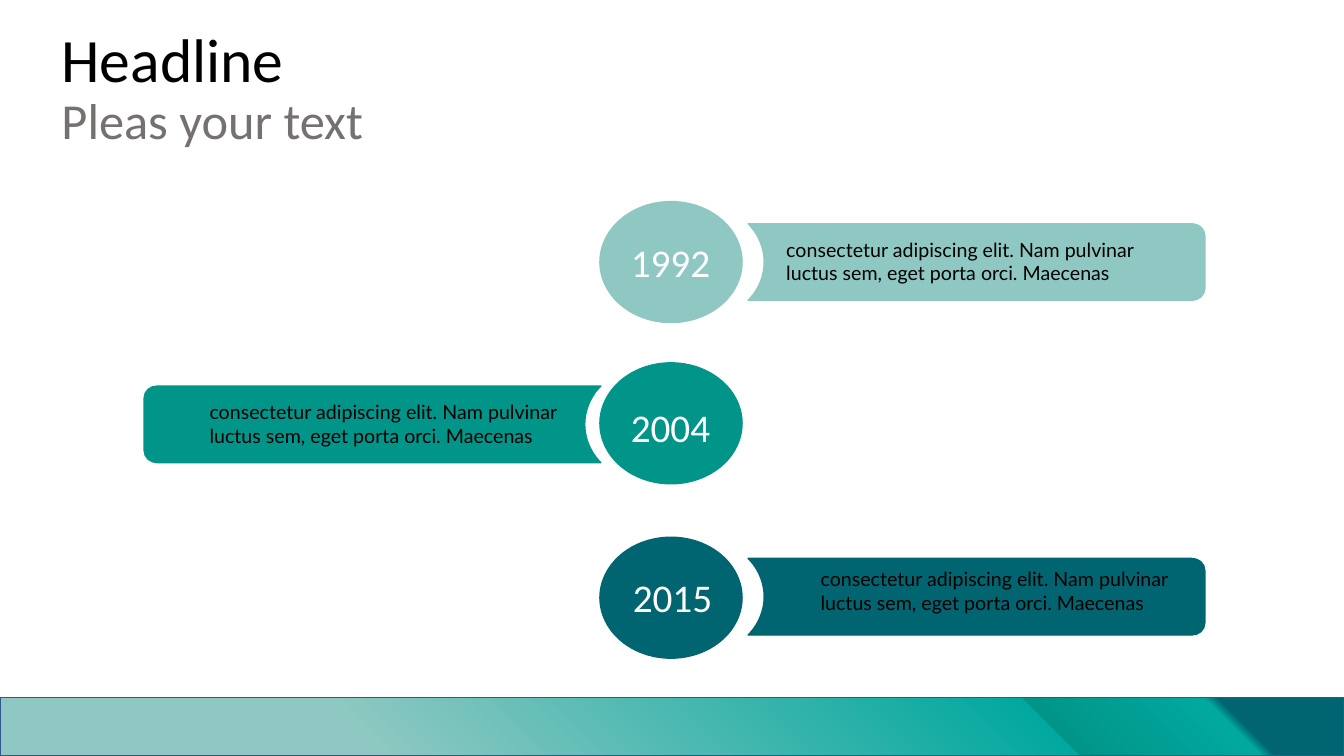
from dataclasses import dataclass

import lxml.etree
import pptx
import pptx.dml.color
import pptx.enum.shapes
import pptx.enum.text
import pptx.oxml
import pptx.oxml.ns
import pptx.util

Inches = pptx.util.Inches
COLORS = {
    "light": "8FC8C2", "bright": "01A89E", "teal": "019589", "deep": "006571",
    "border": "325491", "black": "000000", "gray": "767171", "white": "FFFFFF",
}
GRADIENT_STOPS = [(27, "light"), (77, "bright"), (77, "teal"), (90, "bright"), (91, "deep")]
DESCRIPTION = "consectetur adipiscing elit. Nam pulvinar luctus sem, eget porta orci. Maecenas"

# Outline of a bar on the right, y measured from its middle; MIRROR_SUM flips x to the left
BAR_POINTS = [
    (7.42, -0.38), (11.82, -0.38),
    (11.89, -0.38), (11.95, -0.33), (11.95, -0.26), (11.95, 0.26),
    (11.95, 0.33), (11.89, 0.38), (11.82, 0.38), (7.42, 0.38), (7.44, 0.36),
    (7.53, 0.26), (7.58, 0.13), (7.58, 0),
    (7.58, -0.13), (7.53, -0.26), (7.44, -0.36),
]
CURVE_STARTS = [1, 5, 10, 13]  # line segments that begin a curve of three points
MIRROR_SUM = 13.38


@dataclass
class Milestone:
    year: str
    color: str
    bar_center: float
    oval_top: float
    on_left: bool
    year_left: float
    year_top: float
    text_left: float
    text_top: float


MILESTONES = [
    Milestone("1992", "light", 2.6, 2, False, 6.15, 2.32, 7.7, 2.31),
    Milestone("2004", "teal", 4.21, 3.6, True, 6.15, 3.95, 1.98, 3.92),
    Milestone("2015", "deep", 5.92, 5.33, False, 6.17, 5.64, 8.04, 5.58),
]


def rgb(name: str) -> pptx.dml.color.RGBColor:
    return pptx.dml.color.RGBColor.from_string(COLORS[name])


def set_outline(shape, color: str) -> None:
    shape.shadow.inherit = False
    shape.line.color.rgb = rgb(color)
    shape.line.width = pptx.util.Pt(1)


def paint(shape, color: str) -> None:
    shape.fill.solid()
    shape.fill.fore_color.rgb = rgb(color)
    set_outline(shape, color)


def format_run(run, size: float, font: str, color: str) -> None:
    run.font.size = pptx.util.Pt(size)
    run.font.name = font
    run.font.color.rgb = rgb(color)


def round_corners(bar) -> None:
    lines = bar._element.xpath(".//a:lnTo")
    for start in CURVE_STARTS:
        curve = lxml.etree.Element(pptx.oxml.ns.qn("a:cubicBezTo"))
        lines[start].addprevious(curve)
        for line in lines[start:start + 3]:
            curve.append(line[0])
            line.getparent().remove(line)


def add_bar(group, milestone: Milestone) -> None:
    outline = [
        (Inches(MIRROR_SUM - x if milestone.on_left else x), Inches(milestone.bar_center + y))
        for x, y in BAR_POINTS]
    builder = group.shapes.build_freeform(*outline[0])
    builder.add_line_segments(outline[1:], close=True)
    bar = builder.convert_to_shape()
    round_corners(bar)
    paint(bar, milestone.color)


def add_marker(page, milestone: Milestone) -> None:
    group = page.shapes.add_group_shape()
    add_bar(group, milestone)
    oval = group.shapes.add_shape(
        pptx.enum.shapes.MSO_SHAPE.OVAL, Inches(5.95), Inches(milestone.oval_top),
        Inches(1.41), Inches(1.2))
    paint(oval, milestone.color)


def add_label(page, text: str, left: float, top: float, width: float, wrap: bool):
    box = page.shapes.add_textbox(Inches(left), Inches(top), Inches(width), Inches(0.57))
    box.text_frame.text = text
    box.text_frame.word_wrap = wrap
    box.text_frame.auto_size = pptx.enum.text.MSO_AUTO_SIZE.SHAPE_TO_FIT_TEXT
    return box.text_frame.paragraphs[0]


def add_texts(page, milestone: Milestone) -> None:
    para = add_label(page, milestone.year, milestone.year_left, milestone.year_top, 1, False)
    para.alignment = pptx.enum.text.PP_ALIGN.CENTER
    format_run(para.runs[0], 28, "Calibri", "white")
    para = add_label(page, DESCRIPTION, milestone.text_left, milestone.text_top, 3.97, True)
    format_run(para.runs[0], 14, "Lato", "black")


def add_footer_band(page) -> None:
    band = page.shapes.add_shape(
        pptx.enum.shapes.MSO_SHAPE.RECTANGLE, 0, Inches(6.92), Inches(13.33), Inches(0.58))
    set_outline(band, "border")
    stops = "".join(
        f'<a:gs pos="{position * 1000}"><a:srgbClr val="{COLORS[color]}"/></a:gs>'
        for position, color in GRADIENT_STOPS)
    gradient = pptx.oxml.parse_xml(
        f'<a:gradFill {pptx.oxml.ns.nsdecls("a")} rotWithShape="1"><a:gsLst>{stops}</a:gsLst>'
        '<a:path path="circle"><a:fillToRect t="100000" r="100000"/></a:path></a:gradFill>')
    band._element.spPr.insert(2, gradient)


def set_title(page) -> None:
    title = page.shapes.title
    title.left, title.top = Inches(0.51), Inches(0.17)
    title.width, title.height = Inches(11.5), Inches(1.45)
    title.text_frame.text = "Headline\vPleas your text"
    title.text_frame.vertical_anchor = pptx.enum.text.MSO_ANCHOR.MIDDLE
    para = title.text_frame.paragraphs[0]
    para.alignment = pptx.enum.text.PP_ALIGN.LEFT
    para.line_spacing = 0.9
    headline, subtitle = para.runs
    format_run(headline, 44, "Calibri", "black")
    format_run(subtitle, 36, "Calibri", "gray")


def main() -> None:
    deck = pptx.Presentation()
    deck.slide_width, deck.slide_height = Inches(13.33), Inches(7.5)
    page = deck.slides.add_slide(deck.slide_layouts[5])
    # Footer and title
    add_footer_band(page)
    set_title(page)
    # Timeline
    for milestone in MILESTONES:
        add_marker(page, milestone)
    for milestone in MILESTONES:
        add_texts(page, milestone)
    deck.save("out.pptx")


if __name__ == "__main__":
    main()
